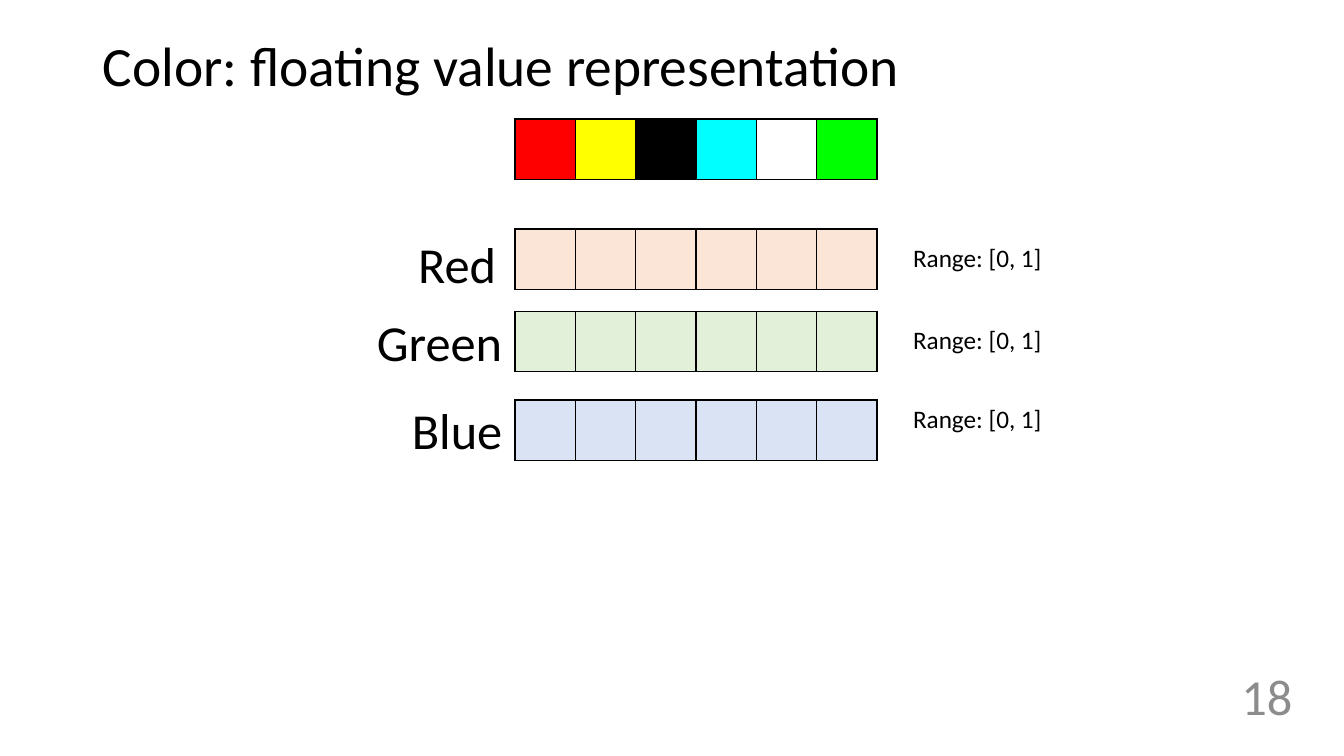
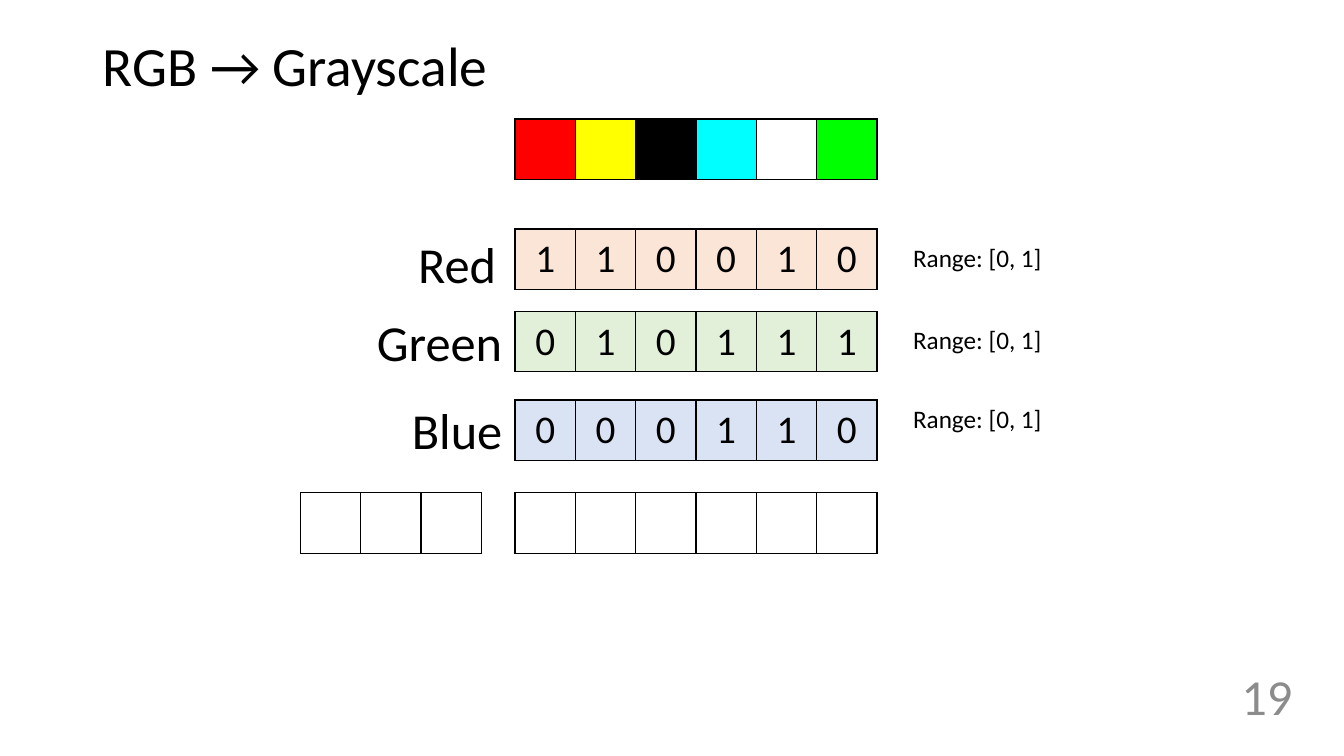
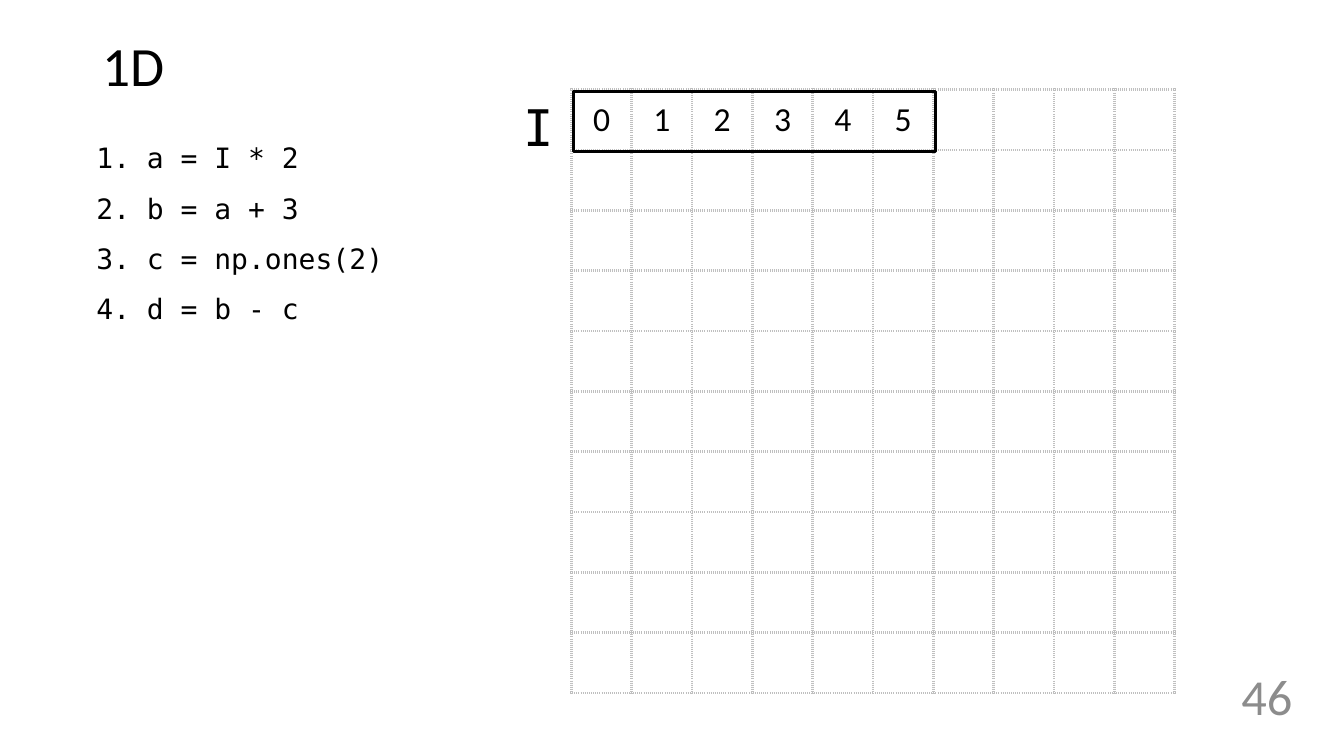
from lxml.etree import SubElement
from pptx import Presentation
from pptx.dml.color import RGBColor
from pptx.enum.shapes import MSO_SHAPE as Shape
from pptx.enum.text import MSO_ANCHOR as Anchor, MSO_AUTO_SIZE as Fit, PP_ALIGN as Align
from pptx.oxml.ns import qn
from pptx.util import Cm, Pt

BLACK = RGBColor(0x00, 0x00, 0x00)
GRAY = RGBColor(0x8C, 0x8C, 0x8C)
SILVER = RGBColor(0xBF, 0xBF, 0xBF)
RED = RGBColor(0xFF, 0x00, 0x00)
YELLOW = RGBColor(0xFF, 0xFF, 0x00)
CYAN = RGBColor(0x00, 0xFF, 0xFF)
GREEN = RGBColor(0x00, 0xFF, 0x00)
PEACH = RGBColor(0xFB, 0xE5, 0xD6)
MINT = RGBColor(0xE2, 0xF0, 0xD9)
SKY = RGBColor(0xDA, 0xE3, 0xF3)

SANS, MONO = "Calibri", "DejaVu Sans Mono"
CELL = Cm(1.52)


def write(frame, *lines, size=36, font=SANS, color=BLACK, align=Align.LEFT, space=None):
    """Put one paragraph per line into a text frame."""
    for i, line in enumerate(lines):
        para = frame.add_paragraph() if i else frame.paragraphs[0]
        para.alignment = align
        if space:
            para.line_spacing = space
        run = para.add_run()
        run.text = line
        run.font.size, run.font.name = Pt(size), font
        run.font.color.rgb = color


def grid(slide, left, top, fills, digits="", rows=1, size=28, line=BLACK, width=1, dash="solid"):
    """Add a table of square cells; the digits go into its first row."""
    cols = len(fills)
    table = slide.shapes.add_table(rows, cols, left, top, CELL * cols, CELL * rows).table
    table.first_row = table.horz_banding = False
    for part in [*table.columns]:
        part.width = CELL
    for part in [*table.rows]:
        part.height = CELL
    for i, cell in enumerate(table.iter_cells()):
        cell.vertical_anchor = Anchor.MIDDLE
        props = cell._tc.get_or_add_tcPr()
        for side in ("a:lnL", "a:lnR", "a:lnT", "a:lnB"):
            edge = SubElement(props, qn(side), w=str(Pt(width)))
            paint = SubElement(edge, qn("a:solidFill"))
            SubElement(paint, qn("a:srgbClr"), val=str(line))
            SubElement(edge, qn("a:prstDash"), val=dash)
        fill = fills[i % cols]
        if fill is None:
            cell.fill.background()
        else:
            cell.fill.solid()
            cell.fill.fore_color.rgb = fill
        if i < len(digits):
            write(cell.text_frame, digits[i], size=size, align=Align.CENTER)


deck = Presentation()
deck.slide_width, deck.slide_height = Cm(33.87), Cm(19.05)

# Title and page number on every slide
slides = []
for name, page in [("Color: floating value representation", "18"),
                   ("RGB → Grayscale", "19"), ("1D", "46")]:
    slide = deck.slides.add_slide(deck.slide_layouts[5])
    title = slide.shapes.title
    title.left, title.top, title.width, title.height = Cm(2.34), Cm(1.02), Cm(29.21), Cm(1.4)
    title.text_frame.auto_size = Fit.NONE
    title.text_frame.vertical_anchor = Anchor.MIDDLE
    write(title.text_frame, name, size=39.6, space=0.9)
    foot = slide.shapes.add_textbox(Cm(29.64), Cm(16.43), Cm(3.18), Cm(2.18)).text_frame
    foot.word_wrap = True
    foot.vertical_anchor = Anchor.MIDDLE
    write(foot, page, color=GRAY, align=Align.RIGHT)
    slides.append(slide)
color, gray, array = slides

# Pixel strip and its three channels
left = Cm(12.98)
bands = [  # name, fill, digits, strip top, label left, top, width, range top
    ("Red", PEACH, "110010", 5.77, 10.29, 5.74, 2.49, 5.99),
    ("Green", MINT, "010111", 7.85, 9.25, 7.72, 3.71, 8.05),
    ("Blue", SKY, "000110", 10.08, 10.13, 9.93, 2.82, 10.03),
]
for slide in (color, gray):
    grid(slide, left, Cm(3), [RED, YELLOW, BLACK, CYAN, None, GREEN])
    for name, fill, digits, top, x, y, wide, low in bands:
        grid(slide, left, Cm(top), [fill] * 6, digits if slide is gray else "")
        for text, size, spot in [(name, 36, (x, y, wide, 1.8)),
                                 ("Range: [0, 1]", 18, (22.76, low, 3.78, 1.02))]:
            frame = slide.shapes.add_textbox(*map(Cm, spot)).text_frame
            frame.word_wrap = False
            write(frame, text, size=size)

# Empty weights and grayscale result
grid(gray, Cm(7.57), Cm(12.42), [None] * 3)
grid(gray, left, Cm(12.42), [None] * 6)

# Dotted grid with the array framed in its first row
grid(array, Cm(14.4), Cm(2.26), [None] * 10, "012345", rows=10, size=24,
     line=SILVER, width=2.25, dash="sysDot")
box = array.shapes.add_shape(Shape.RECTANGLE, Cm(14.45), Cm(2.31), Cm(9.12), Cm(1.5))
box.shadow.inherit = False
box.fill.background()
box.line.color.rgb, box.line.width = BLACK, Pt(2.25)
label = array.shapes.add_textbox(Cm(12.95), Cm(2.31), Cm(1.22), Cm(1.8)).text_frame
label.word_wrap = False
write(label, "I", font=MONO)

# Numbered code steps
steps = array.shapes.add_textbox(Cm(2.18), Cm(3), Cm(11.48), Cm(5.26)).text_frame
steps.word_wrap = True
write(steps, "a = I * 2", "b = a + 3", "c = np.ones(2)", "d = b - c",
      size=20, font=MONO, space=1.5)
for para in steps.paragraphs:
    props = para._p.get_or_add_pPr()
    props.set("marL", str(Cm(1.27)))
    props.set("indent", str(-Cm(1.27)))
    SubElement(props, qn("a:buFont"), typeface=MONO)
    SubElement(props, qn("a:buAutoNum"), type="arabicPeriod")

deck.save("out.pptx")
